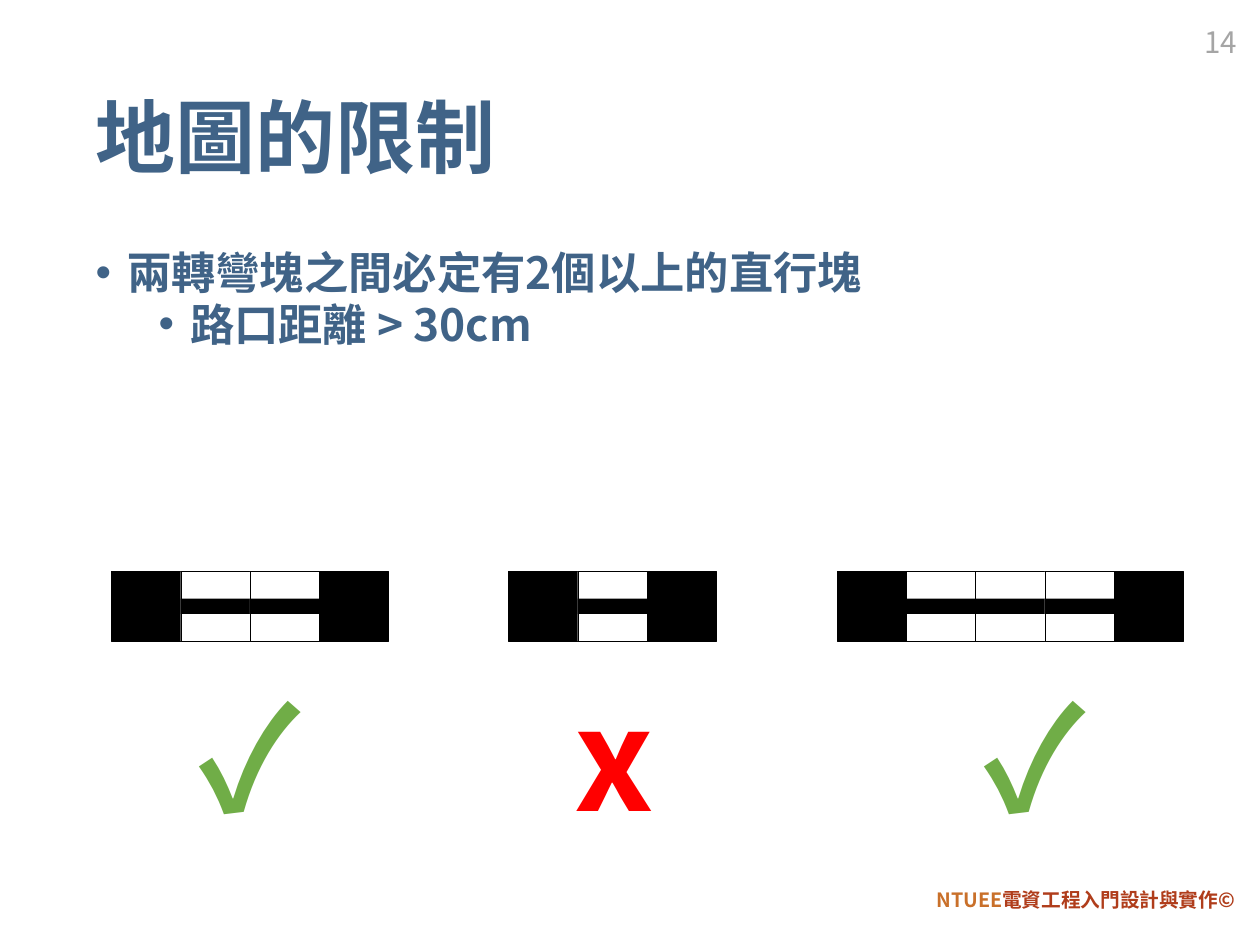
from lxml import etree
from pptx import Presentation
from pptx.dml.color import RGBColor
from pptx.enum.shapes import MSO_SHAPE
from pptx.enum.text import MSO_ANCHOR, MSO_AUTO_SIZE, PP_ALIGN
from pptx.oxml.ns import qn
from pptx.util import Pt

RECTANGLE = MSO_SHAPE.RECTANGLE
TOP, MIDDLE = MSO_ANCHOR.TOP, MSO_ANCHOR.MIDDLE
LEFT, CENTER, RIGHT = PP_ALIGN.LEFT, PP_ALIGN.CENTER, PP_ALIGN.RIGHT
FIT_SHAPE = MSO_AUTO_SIZE.SHAPE_TO_FIT_TEXT

SANS_SC, SANS_TC = "Noto Sans CJK SC", "Noto Sans CJK TC"
NAVY, GREY, BLACK, WHITE = "406387", "A5A5A5", "000000", "FFFFFF"
GREEN, RED, ORANGE, BRICK = "70AD47", "FF0000", "C9702A", "B03D1B"


def color(value):
    return RGBColor.from_string(value)


class MapSlide:
    """Holds the style and the current slide."""

    tile = 56.5
    pitch = 56.2
    track_top = 464.5
    stripe = 12.25

    def __init__(self, deck):
        self.page = deck.slides.add_slide(deck.slide_layouts[6])

    def text_box(self, left, top, width, height, anchor=TOP, wrap=True):
        box = self.page.shapes.add_textbox(Pt(left), Pt(top), Pt(width), Pt(height))
        frame = box.text_frame
        frame.word_wrap = wrap
        frame.vertical_anchor = anchor
        return frame

    def style(self, span, size, font, fill, bold=True):
        span.font.size = Pt(size)
        span.font.bold = bold
        span.font.color.rgb = color(fill)
        span.font.name = font
        latin = span.font._element.find(qn("a:latin"))
        for tag in ("a:sym", "a:ea"):
            script = etree.Element(qn(tag), typeface=font)
            latin.addnext(script)

    def label(self, area, text, size, font, fill, align=LEFT, bold=True, spacing=1.0):
        frame = self.text_box(*area, anchor=MIDDLE)
        frame.text = text
        para = frame.paragraphs[0]
        para.alignment = align
        para.line_spacing = spacing
        self.style(para.runs[0], size, font, fill, bold)
        return para

    def bullets(self, area, items):
        frame = self.text_box(*area)
        for level, text in enumerate(items):
            para = frame.paragraphs[0] if level == 0 else frame.add_paragraph()
            para.text = text
            para.level = level
            para.line_spacing = 0.8
            para.space_before = Pt(7.1 * level)
            props = para._p.get_or_add_pPr()
            props.set("marL", str(Pt(25.6 + 51.2 * level)))
            props.set("indent", str(Pt(-25.6)))
            etree.SubElement(props, qn("a:buFont"), typeface="Arial")
            etree.SubElement(props, qn("a:buChar"), char="•")
            self.style(para.runs[0], 36, SANS_SC, NAVY)

    def rectangle(self, left, top, width, height, fill, outlined=True):
        box = self.page.shapes.add_shape(RECTANGLE, Pt(left), Pt(top), Pt(width), Pt(height))
        box.shadow.inherit = False
        box.fill.solid()
        box.fill.fore_color.rgb = color(fill)
        if outlined:
            box.line.color.rgb = color(BLACK)
            box.line.width = Pt(0.25)
        else:
            box.line.fill.background()

    def track(self, left, straights):
        # Turning blocks at both ends
        for step in (0, straights + 1):
            self.rectangle(left + step * self.pitch, self.track_top,
                           self.tile, self.tile, BLACK)
        # Straight blocks, each with a black stripe
        stripe_top = self.track_top + (self.tile - self.stripe) / 2
        for step in range(1, straights + 1):
            x = left + step * self.pitch
            self.rectangle(x, self.track_top, self.tile, self.tile, WHITE)
            self.rectangle(x, stripe_top, self.tile, self.stripe, BLACK, outlined=False)

    def verdict(self, left, width, mark, fill):
        frame = self.text_box(left, 540.7, width, 146.9, wrap=False)
        frame.auto_size = FIT_SHAPE
        frame.text = mark
        para = frame.paragraphs[0]
        para.alignment = CENTER
        span = para.runs[0]
        self.style(span, 115, SANS_TC, fill)
        outline = etree.Element(qn("a:ln"), w=str(Pt(1)))
        solid = etree.SubElement(outline, qn("a:solidFill"))
        etree.SubElement(solid, qn("a:srgbClr"), val=WHITE)
        span.font._element.insert(0, outline)


def main():
    deck = Presentation()
    deck.slide_width, deck.slide_height = Pt(1024), Pt(768)
    slide = MapSlide(deck)

    # Footer, title and page number
    footer = slide.label((730.8, 713.5, 280, 38.2), "NTUEE", 16, SANS_TC, ORANGE,
                         RIGHT, spacing=0.9)
    course = footer.add_run()
    course.text = "電資工程入門設計與實作©"
    slide.style(course, 16, SANS_TC, BRICK)
    slide.label((70.6, 41, 883.4, 148.3), "地圖的限制", 65, SANS_SC, NAVY, spacing=0.9)
    slide.label((955.4, 5.8, 56.9, 56.9), "14", 24, SANS_SC, GREY, RIGHT, bold=False)

    # Rules
    slide.bullets((70.6, 204.5, 883.4, 134.6),
                  ["兩轉彎塊之間必定有2個以上的直行塊", "路口距離 > 30cm"])

    # Example tracks and their verdicts
    for left, straights in ((90.7, 2), (413.3, 1), (680.4, 3)):
        slide.track(left, straights)
    for left, width, mark, fill in ((154.1, 97.2, "✓", GREEN),
                                    (460.1, 75.6, "x", RED),
                                    (792, 97.2, "✓", GREEN)):
        slide.verdict(left, width, mark, fill)

    deck.save("out.pptx")


if __name__ == "__main__":
    main()
